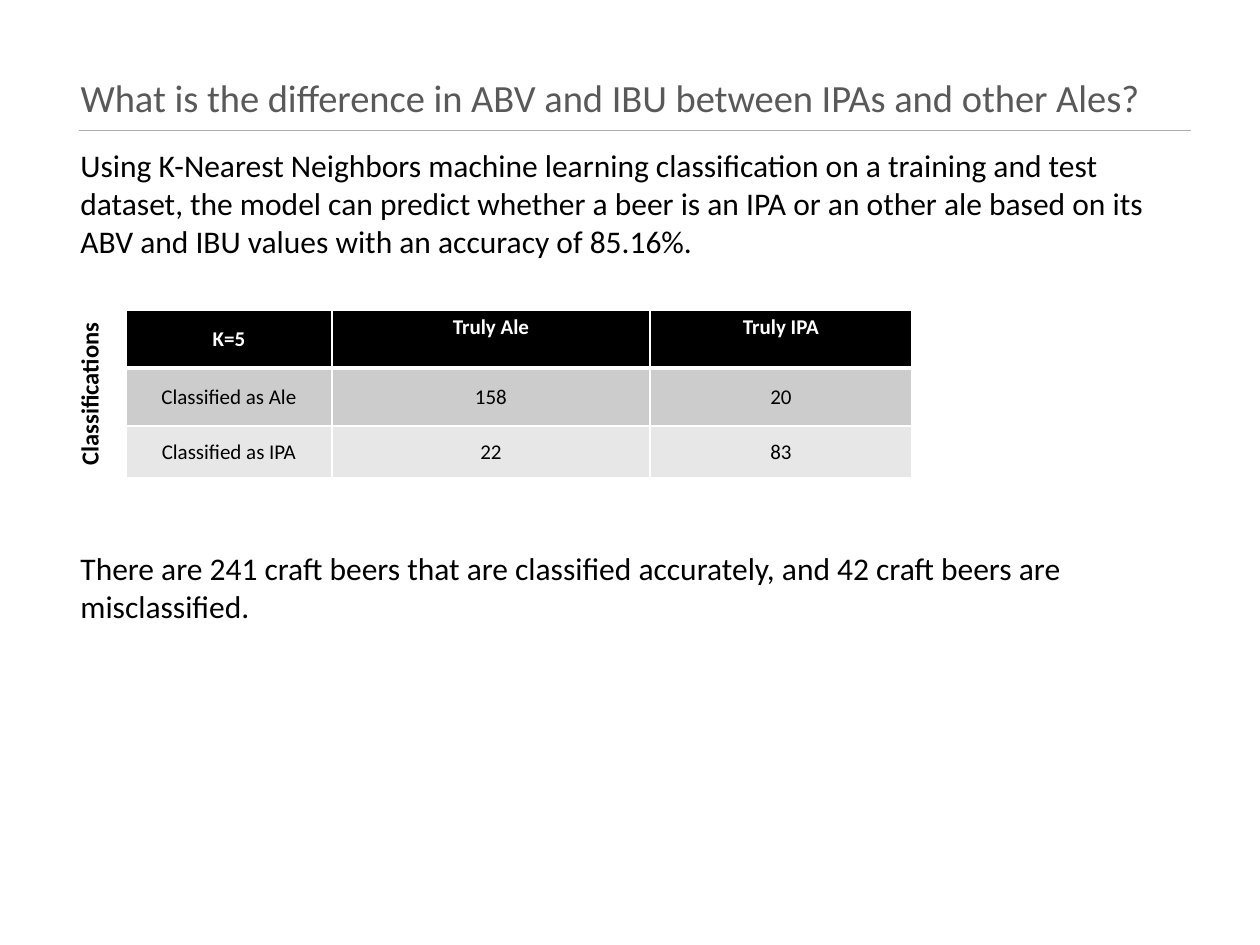
import lxml.etree
import pptx
import pptx.dml.color
import pptx.enum.shapes
import pptx.enum.text
import pptx.oxml.ns
import pptx.util

PX = 914400 / 126
FONT = "Calibri"
COLORS = {
    "title": "595959",
    "text": "000000",
    "rule": "AFABAB",
    "header": "000000",
    "header_text": "FFFFFF",
    "border": "FFFFFF",
    "ale_row": "CCCCCC",
    "ipa_row": "E7E7E7",
}
ALIGN = pptx.enum.text.PP_ALIGN
ANCHOR = pptx.enum.text.MSO_ANCHOR


def px(length):
    return pptx.util.Emu(round(length * PX))


def rgb(name):
    return pptx.dml.color.RGBColor.from_string(COLORS[name])


def write(frame, text, size=18, color="text", bold=False, align=ALIGN.LEFT,
          anchor=ANCHOR.TOP, spacing=None):
    """Put one formatted paragraph into a text frame."""
    frame.word_wrap = True
    frame.vertical_anchor = anchor
    paragraph = frame.paragraphs[0]
    paragraph.alignment = align
    paragraph.line_spacing = spacing
    run = paragraph.add_run()
    run.text = text
    run.font.name = FONT
    run.font.size = pptx.util.Pt(size)
    run.font.bold = bold
    run.font.color.rgb = rgb(color)


def add_heading(slide, left, top, width, height):
    title = slide.shapes.title
    title.left, title.top = px(left), px(top)
    title.width, title.height = px(width), px(height)
    title.text_frame.auto_size = pptx.enum.text.MSO_AUTO_SIZE.NONE
    write(title.text_frame, "What is the difference in ABV and IBU between IPAs and other Ales?",
          size=22, color="title", anchor=ANCHOR.MIDDLE, spacing=0.9)

    # Thin rule under the title
    rule_left, rule_top = left + 11, top + 83
    rule = slide.shapes.add_connector(
        pptx.enum.shapes.MSO_CONNECTOR.STRAIGHT,
        px(rule_left), px(rule_top), px(rule_left + 1112), px(rule_top))
    rule.line.color.rgb = rgb("rule")
    rule.line.width = pptx.util.Pt(0.5)
    lxml.etree.SubElement(rule._element.spPr, pptx.oxml.ns.qn("a:effectLst"))


def add_text(slide, left, top, width, height, text, rotation=0, **text_format):
    box = slide.shapes.add_textbox(px(left), px(top), px(width), px(height))
    box.rotation = rotation
    write(box.text_frame, text, **text_format)


def set_borders(cell, bottom):
    """Draw the four cell edges; they precede the fill in the cell properties."""
    properties = cell._tc.get_or_add_tcPr()
    edges = {"lnL": 1, "lnR": 1, "lnT": 1, "lnB": bottom}
    for position, (edge, points) in enumerate(edges.items()):
        line = lxml.etree.Element(pptx.oxml.ns.qn("a:" + edge), w=str(pptx.util.Pt(points)))
        fill = lxml.etree.SubElement(line, pptx.oxml.ns.qn("a:solidFill"))
        lxml.etree.SubElement(fill, pptx.oxml.ns.qn("a:srgbClr"), val=COLORS["border"])
        properties.insert(position, line)


def add_confusion_matrix(slide, left, top):
    rows = [
        ("header", 58, ("K=5", "Truly Ale", "Truly IPA")),
        ("ale_row", 58, ("Classified as Ale", "158", "20")),
        ("ipa_row", 52, ("Classified as IPA", "22", "83")),
    ]
    widths = (206, 318, 262)
    height = sum(row[1] for row in rows)
    matrix = slide.shapes.add_table(len(rows), len(widths), px(left), px(top),
                                    px(sum(widths)), px(height)).table
    for column, width in zip(matrix.columns, widths):
        column.width = px(width)

    for r, (fill, row_height, values) in enumerate(rows):
        matrix.rows[r].height = px(row_height)
        is_header = r == 0
        for c, value in enumerate(values):
            cell = matrix.cell(r, c)
            cell.fill.solid()
            cell.fill.fore_color.rgb = rgb(fill)
            set_borders(cell, bottom=3 if is_header else 1)
            cell.margin_left = cell.margin_right = px(9)
            cell.margin_top = px(5)
            # The two truth headings sit above the middle of their row
            cell.margin_bottom = px(28 if is_header and c else 5)
            write(cell.text_frame, value, size=12, bold=is_header, align=ALIGN.CENTER,
                  color="header_text" if is_header else "text")
            cell.vertical_anchor = ANCHOR.MIDDLE

    # Sideways label for the rows
    label_width, label_height = 198, 48
    add_text(slide, left - 34 - label_width / 2, top + height / 2 - label_height / 2,
             label_width, label_height, "Classifications", rotation=270,
             size=14, bold=True, align=ALIGN.CENTER)


def main():
    deck = pptx.Presentation()
    deck.slide_width, deck.slide_height = px(1260), px(945)
    slide = deck.slides.add_slide(deck.slide_layouts.get_by_name("Title Only"))

    margin = 68
    add_heading(slide, margin, 47, 1086, 107)
    add_text(slide, margin, 140, 1140, 204,
             "Using K-Nearest Neighbors machine learning classification on a training and test "
             "dataset, the model can predict whether a beer is an IPA or an other ale based on "
             "its ABV and IBU values with an accuracy of 85.16%.")
    add_confusion_matrix(slide, 126, 310)
    add_text(slide, margin, 543, 1051, 89,
             "There are 241 craft beers that are classified accurately, and 42 craft beers are "
             "misclassified.")
    deck.save("out.pptx")


if __name__ == "__main__":
    main()
